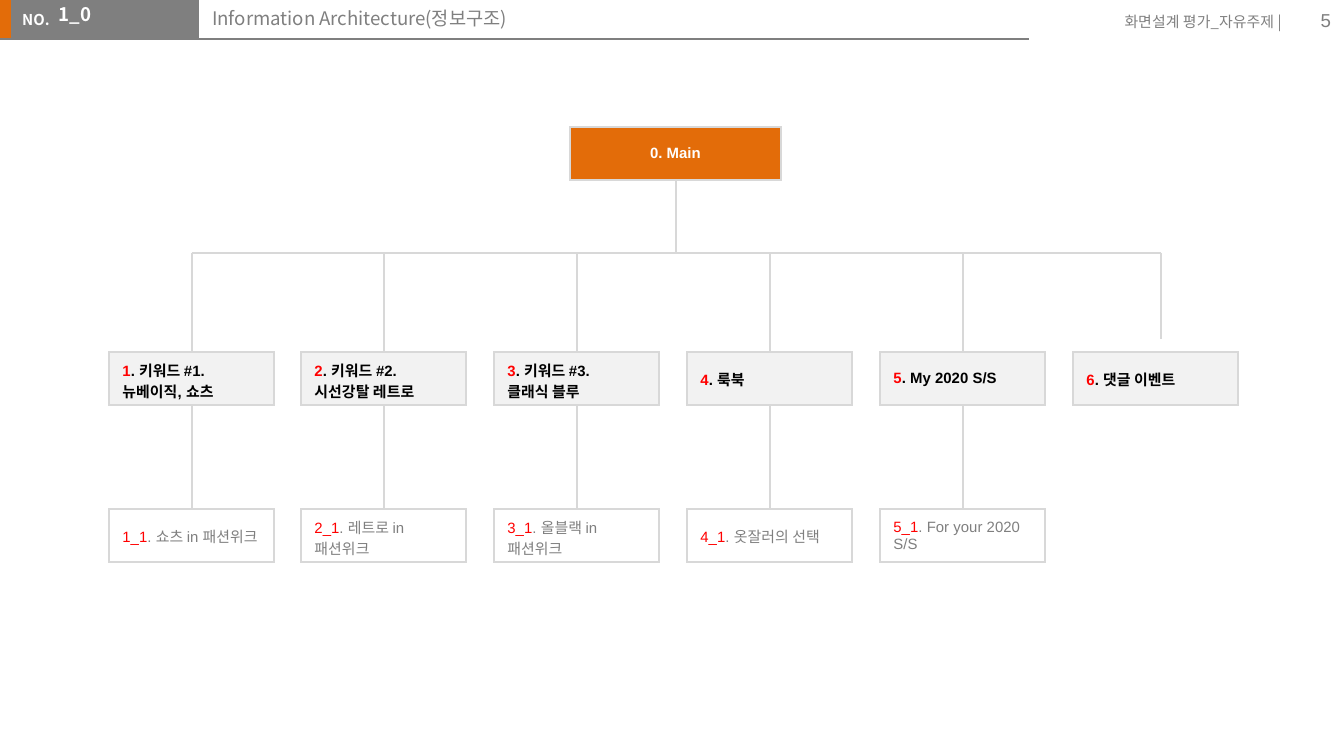
from dataclasses import dataclass

from lxml import etree
from pptx import Presentation
from pptx import util as u
from pptx.dml.color import RGBColor
from pptx.enum import shapes, text
from pptx.oxml import ns

PX = 914400 / 134.4


@dataclass(frozen=True)
class Theme:
    accent: str = "E36C09"
    gray: str = "7F7F7F"
    line: str = "D8D8D8"
    panel: str = "F2F2F2"
    white: str = "FFFFFF"
    black: str = "000000"
    number: str = "FF0000"
    latin: str = "Arial"
    korean: str = "Noto Sans CJK KR"
    small: int = 8
    large: int = 10


T = Theme()

MENU = [
    ("1", ["키워드 #1. 뉴베이직, 쇼츠"], "쇼츠 in 패션위크"),
    ("2", ["키워드 #2. 시선강탈 레트로"], "레트로 in 패션위크"),
    ("3", ["키워드 #3.", "클래식 블루"], "올블랙 in 패션위크"),
    ("4", ["룩북"], "옷잘러의 선택"),
    ("5", ["My 2020 S/S"], "For your 2020 S/S"),
    ("6", ["댓글 이벤트"], None),
]


def px(n):
    return u.Emu(round(n * PX))


def rgb(color):
    return RGBColor.from_string(color)


def add_run(p, words, size=T.small, color=T.gray, bold=False, font=T.korean):
    r = p.add_run()
    r.text = words
    r.font.size = u.Pt(size)
    r.font.bold = bold
    r.font.name = font
    r.font.color.rgb = rgb(color)
    ea = etree.SubElement(r.font._element, ns.qn("a:ea"))
    ea.set("typeface", T.korean)


def add_label(s, box, words, inset=7, align=None, anchor=text.MSO_ANCHOR.TOP, **fmt):
    tf = s.shapes.add_textbox(*map(px, box)).text_frame
    tf.word_wrap = True
    tf.vertical_anchor = anchor
    tf.margin_left = tf.margin_right = u.Inches(0.1)
    tf.margin_top = tf.margin_bottom = px(inset)
    p = tf.paragraphs[0]
    p.alignment = align
    add_run(p, words, **fmt)
    return p


def add_rect(s, box, color):
    sp = s.shapes.add_shape(shapes.MSO_SHAPE.RECTANGLE, *map(px, box))
    sp.shadow.inherit = False
    sp.fill.solid()
    sp.fill.fore_color.rgb = rgb(color)
    sp.line.fill.background()


def add_line(s, x1, y1, x2, y2, color=T.line):
    c = s.shapes.add_connector(shapes.MSO_CONNECTOR.STRAIGHT, *map(px, (x1, y1, x2, y2)))
    c.line.color.rgb = rgb(color)
    c.line.width = u.Pt(0.75)
    etree.SubElement(c._element.spPr, ns.qn("a:effectLst"))


def add_node(s, box, paragraphs, fill, bold=False, align=None):
    tbl = s.shapes.add_table(1, 1, *map(px, box)).table
    tbl.first_row = tbl.horz_banding = False
    cell = tbl.cell(0, 0)
    tcPr = cell._tc.get_or_add_tcPr()
    for side in ("lnL", "lnR", "lnT", "lnB"):
        ln = etree.SubElement(tcPr, ns.qn(f"a:{side}"), w=str(u.Pt(1)))
        solid = etree.SubElement(ln, ns.qn("a:solidFill"))
        etree.SubElement(solid, ns.qn("a:srgbClr"), val=T.line)
    cell.fill.solid()
    cell.fill.fore_color.rgb = rgb(fill)
    cell.vertical_anchor = text.MSO_ANCHOR.MIDDLE
    tf = cell.text_frame
    for i, runs in enumerate(paragraphs):
        p = tf.add_paragraph() if i else tf.paragraphs[0]
        p.alignment = align
        for words, color in runs:
            add_run(p, words, color=color, bold=bold, font=T.latin)


def add_header(s, x, y, w, h):
    right = text.PP_ALIGN.RIGHT
    add_rect(s, (x - 1, y, 16, h), T.accent)
    add_rect(s, (x + 11, y, 188, h), T.gray)
    add_label(s, (x + 9, y + 4, 55, 32), "NO.", color=T.white, bold=True)
    add_line(s, x, y + h, x + 1029, y + h, T.gray)
    add_label(s, (x + w - 269, y + 6, 220, 32), "화면설계 평가_자유주제 |", align=right)
    add_label(s, (x + w - 81, y, 81, 40), "5", align=right, anchor=text.MSO_ANCHOR.MIDDLE,
              size=T.large, font=T.latin)
    add_label(s, (x + 199, y - 4, 825, 43), "Information Architecture(정보구조)",
              inset=13, size=T.large)
    p = add_label(s, (x + 12, y - 8, 148, 42), "1_0", inset=13, size=T.large,
                  color=T.white, bold=True)
    p.space_before = u.Pt(2)
    pPr = p._p.get_or_add_pPr()
    pPr.set("marL", str(u.Inches(0.5)))
    pPr.set("indent", str(u.Inches(-0.25)))


def add_tree(s, x, y, w, h):
    node_w, node_h, root_w = 165, 53, 211
    bus, menu, sub = y + 126, y + 225, y + h - node_h
    lefts = [x + (w - node_w) * i // (len(MENU) - 1) for i in range(len(MENU))]
    mids = [left + node_w // 2 + 1 for left in lefts]
    root_x = x + 461
    root_mid = root_x + root_w // 2 + 1
    end = mids[-1] + 5

    add_line(s, root_mid, y + node_h, root_mid, bus)
    add_line(s, mids[0], bus, end, bus)
    for mid, (_, _, child) in zip(mids, MENU):
        if child:
            add_line(s, mid, bus, mid, menu)
            add_line(s, mid, menu + node_h, mid, sub)
    add_line(s, end, bus, end, menu - 13)

    add_node(s, (root_x, y, root_w, node_h), [[("0. Main", T.white)]],
             T.accent, bold=True, align=text.PP_ALIGN.CENTER)
    for left, (number, (first, *rest), child) in zip(lefts, MENU):
        lines = [[(number, T.number), (f". {first}", T.black)]]
        lines += [[(line, T.black)] for line in rest]
        add_node(s, (left, menu, node_w, node_h), lines, T.panel, bold=True)
        if child:
            add_node(s, (left, sub, node_w, node_h),
                     [[(f"{number}_1", T.number), (f". {child}", T.gray)]], T.white)


def main():
    prs = Presentation()
    prs.slide_width, prs.slide_height = px(1344), px(756)
    s = prs.slides.add_slide(prs.slide_layouts[6])
    add_header(s, 0, 0, 1344, 39)
    add_tree(s, 109, 127, 1129, 435)
    prs.save("out.pptx")


if __name__ == "__main__":
    main()
